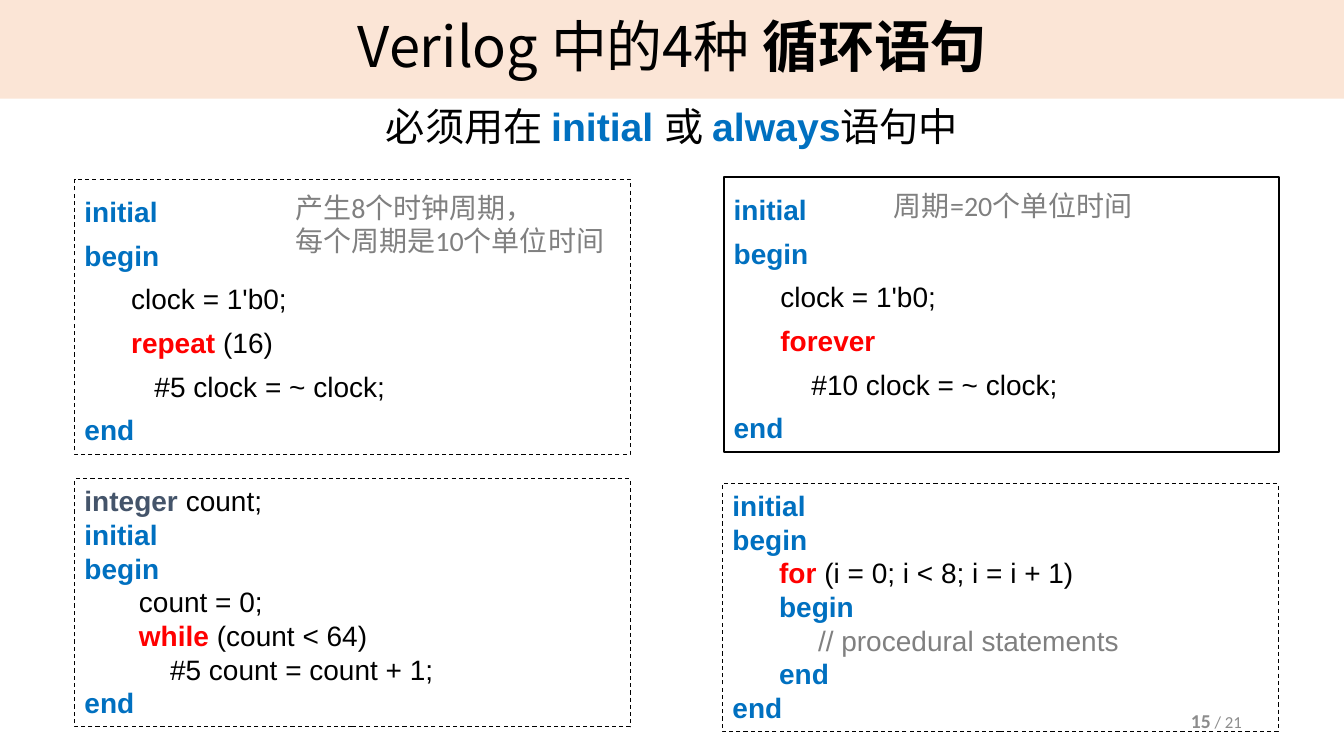
from dataclasses import dataclass

from lxml.etree import SubElement
from pptx import Presentation
from pptx.dml.color import RGBColor
from pptx.enum.dml import MSO_LINE
from pptx.enum.shapes import MSO_SHAPE
from pptx.enum.text import MSO_ANCHOR, PP_ALIGN
from pptx.oxml.ns import qn
from pptx.util import Cm, Pt


@dataclass(frozen=True)
class Theme:
    black: str = "000000"
    blue: str = "0070C0"
    red: str = "FF0000"
    slate: str = "44546A"
    gray: str = "808080"
    pale_gray: str = "8C8C8C"
    peach: str = "FBE5D6"
    heading: str = "Noto Sans CJK SC"
    reading: str = "Calibri"
    code: str = "Arial"
    title_size: int = 40
    subtitle_size: int = 28
    code_size: int = 20
    page_size: int = 14
    total_size: int = 12
    space_width: float = 0.196


THEME = Theme()


def style(name, size, color, bold=False):
    return {"name": name, "size": Pt(size), "bold": bold, "color": color}


STYLES = {
    "title": style(THEME.heading, THEME.title_size, THEME.black),
    "title strong": style(THEME.heading, THEME.title_size, THEME.black, True),
    "subtitle": style(THEME.reading, THEME.subtitle_size, THEME.black),
    "subtitle code": style(THEME.code, THEME.subtitle_size, THEME.blue, True),
    "plain": style(THEME.code, THEME.code_size, THEME.black),
    "block": style(THEME.code, THEME.code_size, THEME.blue, True),
    "loop": style(THEME.code, THEME.code_size, THEME.red, True),
    "type": style(THEME.code, THEME.code_size, THEME.slate, True),
    "comment": style(THEME.code, THEME.code_size, THEME.gray),
    "note": style(THEME.reading, THEME.code_size, THEME.gray),
    "page": style(THEME.reading, THEME.page_size, THEME.pale_gray, True),
    "total": style(THEME.reading, THEME.total_size, THEME.pale_gray),
}

TITLE = [(0, [("Verilog 中的4种 ", "title"), ("循环语句", "title strong")])]
SUBTITLE = [(0, [("必须用在 ", "subtitle"), ("initial ", "subtitle code"), ("或 ", "subtitle"),
                 ("always", "subtitle code"), ("语句中", "subtitle")])]
PAGE_NUMBER = [(0, [("15", "page"), (" / 21", "total")])]

INITIAL = (0, [("initial", "block")])
BEGIN = (0, [("begin", "block")])
END = (0, [("end", "block")])
CLOCK_START = (6, [("clock = 1'b0;", "plain")])

LOOPS = [
    {"box": (1.88, 4.52, 14, 6.93), "spacing": 1.3, "dashed": True,
     "lines": [INITIAL, BEGIN, CLOCK_START,
               (6, [("repeat ", "loop"), ("(16)", "plain")]),
               (9, [("#5 clock = ~ clock;", "plain")]), END],
     "note": (5.31, 8.43, ["产生8个时钟周期，", "每个周期是10个单位时间"])},
    {"box": (18.24, 4.47, 14, 6.93), "spacing": 1.3, "dashed": False,
     "lines": [INITIAL, BEGIN, CLOCK_START,
               (6, [("forever", "loop")]),
               (10, [("#10 clock = ~ clock;", "plain")]), END],
     "note": (4.04, 6.58, ["周期=20个单位时间"])},
    {"box": (1.88, 12.07, 14, 6.25), "spacing": 1, "dashed": True,
     "lines": [(0, [("integer ", "type"), ("count;", "plain")]), INITIAL, BEGIN,
               (7, [("count = 0;", "plain")]),
               (7, [("while ", "loop"), ("(count < 64)", "plain")]),
               (11, [("#5 count = count + 1;", "plain")]), END]},
    {"box": (18.21, 12.19, 14, 6.25), "spacing": 1, "dashed": True,
     "lines": [INITIAL, BEGIN,
               (6, [("for ", "loop"), ("(i = 0; i < 8; i = i + 1)", "plain")]),
               (6, [("begin", "block")]),
               (11, [("// procedural statements", "comment")]),
               (6, [("end", "block")]), END]},
]


def write_span(para, text, style_name):
    span = para.add_run()
    span.text = text
    for key, value in STYLES[style_name].items():
        if key == "color":
            span.font.color.rgb = RGBColor.from_string(value)
        else:
            setattr(span.font, key, value)
    east_asian = SubElement(span.font._element, qn("a:ea"))
    east_asian.set("typeface", THEME.heading)


def write_lines(frame, lines, **paragraph_format):
    for index, (spaces, spans) in enumerate(lines):
        para = frame.add_paragraph() if index else frame.paragraphs[0]
        for key, value in paragraph_format.items():
            setattr(para, key, value)
        if spaces:
            properties = para._p.get_or_add_pPr()
            properties.set("marL", str(Cm(spaces * THEME.space_width)))
            properties.set("indent", "0")
        for text, style_name in spans:
            write_span(para, text, style_name)


def add_text(page, box, lines, anchor=MSO_ANCHOR.TOP, **paragraph_format):
    frame = page.shapes.add_textbox(*map(Cm, box)).text_frame
    frame.word_wrap = True
    frame.vertical_anchor = anchor
    write_lines(frame, lines, **paragraph_format)


def add_panel(page, box, lines, anchor, **paragraph_format):
    panel = page.shapes.add_shape(MSO_SHAPE.RECTANGLE, *map(Cm, box))
    panel.shadow.inherit = False
    panel.fill.background()
    panel.line.fill.background()
    panel.text_frame.word_wrap = True
    panel.text_frame.vertical_anchor = anchor
    write_lines(panel.text_frame, lines, **paragraph_format)
    return panel


def add_title_band(page, box):
    band = add_panel(page, box, TITLE, MSO_ANCHOR.MIDDLE,
                     alignment=PP_ALIGN.CENTER, line_spacing=0.9)
    band.fill.solid()
    band.fill.fore_color.rgb = RGBColor.from_string(THEME.peach)


def add_loop(page, box, loop):
    left, top, width, height = box
    panel = add_panel(page, box, loop["lines"], MSO_ANCHOR.TOP,
                      alignment=PP_ALIGN.LEFT, line_spacing=loop["spacing"])
    panel.line.color.rgb = RGBColor.from_string(THEME.black)
    panel.line.width = Pt(0.75 if loop["dashed"] else 1.5)
    if loop["dashed"]:
        panel.line.dash_style = MSO_LINE.DASH
    if "note" in loop:
        offset, note_width, texts = loop["note"]
        add_text(page, (left + offset, top + 0.15, note_width, 0.3 + 0.83 * len(texts)),
                 [(0, [(text, "note")]) for text in texts])


def main():
    deck = Presentation()
    deck.slide_width, deck.slide_height = Cm(33.87), Cm(19.05)
    page = deck.slides.add_slide(deck.slide_layouts[6])
    add_title_band(page, (0, 0, 33.87, 2.49))
    add_text(page, (0, 2.59, 33.87, 1.63), SUBTITLE,
             alignment=PP_ALIGN.CENTER, line_spacing=0.9, space_before=Pt(10))
    for loop in LOOPS:
        add_loop(page, loop["box"], loop)
    add_text(page, (23.93, 17.65, 7.62, 1.02), PAGE_NUMBER,
             MSO_ANCHOR.MIDDLE, alignment=PP_ALIGN.RIGHT)
    deck.save("out.pptx")


if __name__ == "__main__":
    main()
